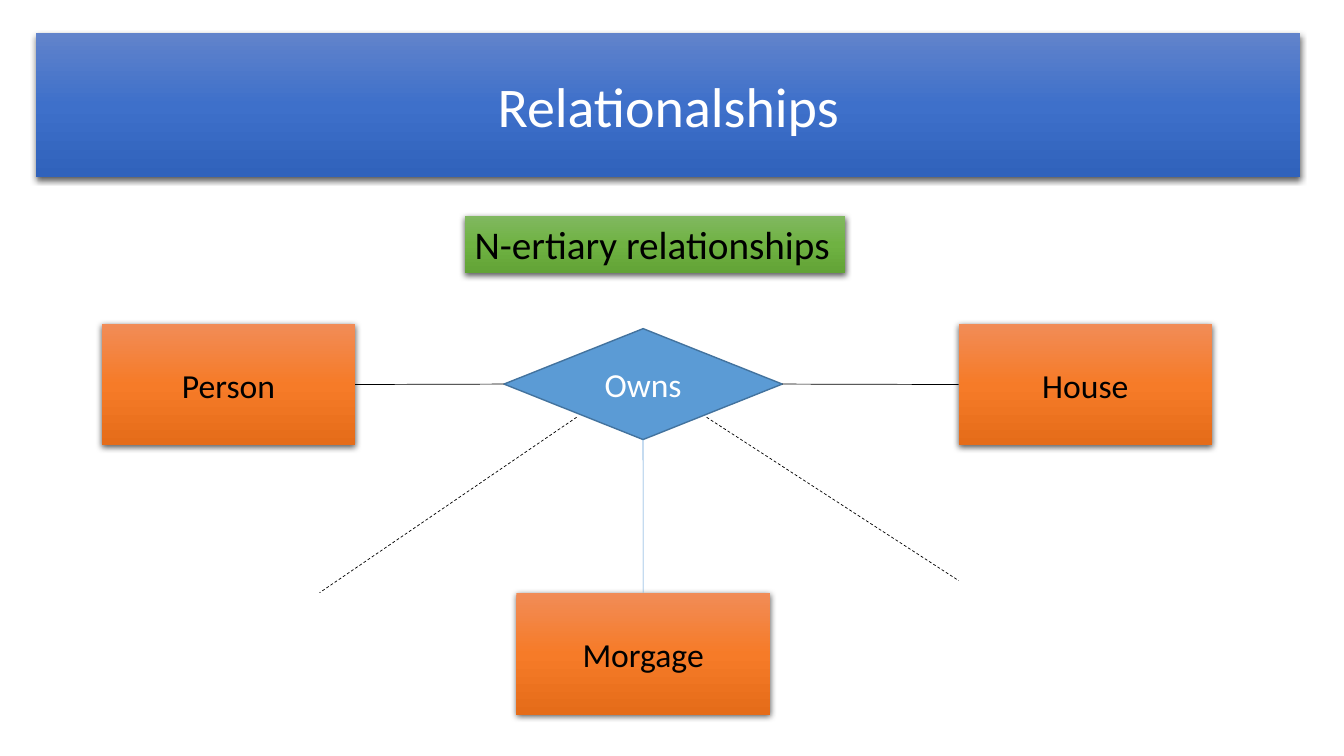
from copy import deepcopy

from lxml import etree
from pptx import Presentation, util as u
from pptx.dml.color import RGBColor
from pptx.enum import dml, shapes, text
from pptx.oxml.ns import qn

HUES = {
    "black": "000000", "white": "FFFFFF", "sky": "5B9BD5", "edge": "43739E",
}
FADES = {
    "blue": ("6183CB", "3E70CA", "3062BB"),
    "green": ("81B861", "6FB242", "62A336"),
    "orange": ("F18C57", "F67B28", "E56C19"),
}


def write(shape, words, size=24, hue="black", align="CENTER", anchor="MIDDLE", fit=False):
    """Put one formatted line of text into a shape."""
    frame = shape.text_frame
    frame.word_wrap = not fit
    if fit:
        frame.auto_size = text.MSO_AUTO_SIZE.SHAPE_TO_FIT_TEXT
    frame.vertical_anchor = getattr(text.MSO_ANCHOR, anchor)
    line = frame.paragraphs[0]
    line.alignment = getattr(text.PP_ALIGN, align)
    run = line.add_run()
    run.text = words
    run.font.name = "Calibri"
    run.font.size = u.Pt(size)
    run.font.color.rgb = RGBColor.from_string(HUES[hue])


class Board:
    """A slide on a grid of 100 columns by 100 rows."""

    def __init__(self, deck):
        self.slide = deck.slides.add_slide(deck.slide_layouts[6])
        self.col = deck.slide_width / 100
        self.row = deck.slide_height / 100

    def spot(self, *grid):
        """Turn column, row pairs into lengths."""
        return [round(n * (self.row if i % 2 else self.col)) for i, n in enumerate(grid)]

    def shape(self, kind, grid):
        item = self.slide.shapes.add_shape(kind, *self.spot(*grid))
        item.shadow.inherit = False
        return item

    def box(self, grid, fade, words, **form):
        """Rectangle with a three-stop gradient and a soft shadow."""
        item = self.shape(shapes.MSO_SHAPE.RECTANGLE, grid)
        item.line.fill.background()
        item.fill.gradient()
        item.fill.gradient_angle = 270
        stops = item._element.spPr.find(".//" + qn("a:gsLst"))
        stops.append(deepcopy(stops[-1]))
        for i, (stop, hue) in enumerate(zip(item.fill.gradient_stops, FADES[fade])):
            stop.position = i / 2
            stop.color.rgb = RGBColor.from_string(hue)
        self.shade(item)
        write(item, words, **form)
        return item

    def shade(self, item):
        glow = etree.SubElement(
            item._element.spPr.find(qn("a:effectLst")), qn("a:outerShdw"),
            blurRad=str(u.Pt(4.5)), dist=str(u.Pt(1.5)), dir="5400000",
            algn="ctr", rotWithShape="0")
        tint = etree.SubElement(glow, qn("a:srgbClr"), val=HUES["black"])
        etree.SubElement(tint, qn("a:alpha"), val="63000")

    def gem(self, grid, words, **form):
        """Diamond for a relationship."""
        item = self.shape(shapes.MSO_SHAPE.DIAMOND, grid)
        item.fill.solid()
        item.fill.fore_color.rgb = RGBColor.from_string(HUES["sky"])
        item.line.color.rgb = RGBColor.from_string(HUES["edge"])
        item.line.width = u.Pt(1)
        write(item, words, **form)
        return item

    def line(self, grid=(0, 0, 0, 0), hue="black", dash=False):
        item = self.slide.shapes.add_connector(
            shapes.MSO_CONNECTOR.STRAIGHT, *self.spot(*grid))
        item.line.color.rgb = RGBColor.from_string(HUES[hue])
        item.line.width = u.Pt(0.5)
        if dash:
            item.line.dash_style = dml.MSO_LINE.DASH
        etree.SubElement(item._element.spPr, qn("a:effectLst"))
        return item

    def link(self, start, exit, end, entry, **form):
        """Line glued to a side of each of two shapes."""
        item = self.line(**form)
        item.begin_connect(start, exit)
        item.end_connect(end, entry)


def main():
    deck = Presentation()
    deck.slide_width, deck.slide_height = u.Inches(13.33), u.Inches(7.5)
    board = Board(deck)

    # Title and label
    board.box((2.7, 4.4, 94.05, 19.07), "blue", "Relationalships", size=40, hue="white")
    board.box((34.58, 28.53, 28.28, 7.6), "green", "N-ertiary relationships",
              size=28, align="LEFT", anchor="TOP", fit=True)

    # Entities
    spots = {"Person": (7.58, 42.8), "House": (71.33, 42.8), "Morgage": (38.43, 78.4)}
    person, house, loan = [
        board.box((*spot, 18.85, 16.13), "orange", name) for name, spot in spots.items()]

    # Relationship
    owns = board.gem((37.5, 43.47, 20.7, 14.67), "Owns", hue="white")

    # Links between sides: 0 top, 1 left, 2 bottom, 3 right
    board.link(person, 3, owns, 1)
    board.link(owns, 3, house, 1)
    board.link(owns, 2, loan, 0, hue="sky")

    # Open links to further entities
    for ends in ((52.58, 55.2, 71.33, 76.8), (42.9, 55.2, 23.78, 78.4)):
        board.line(ends, dash=True)

    deck.save("out.pptx")


if __name__ == "__main__":
    main()
